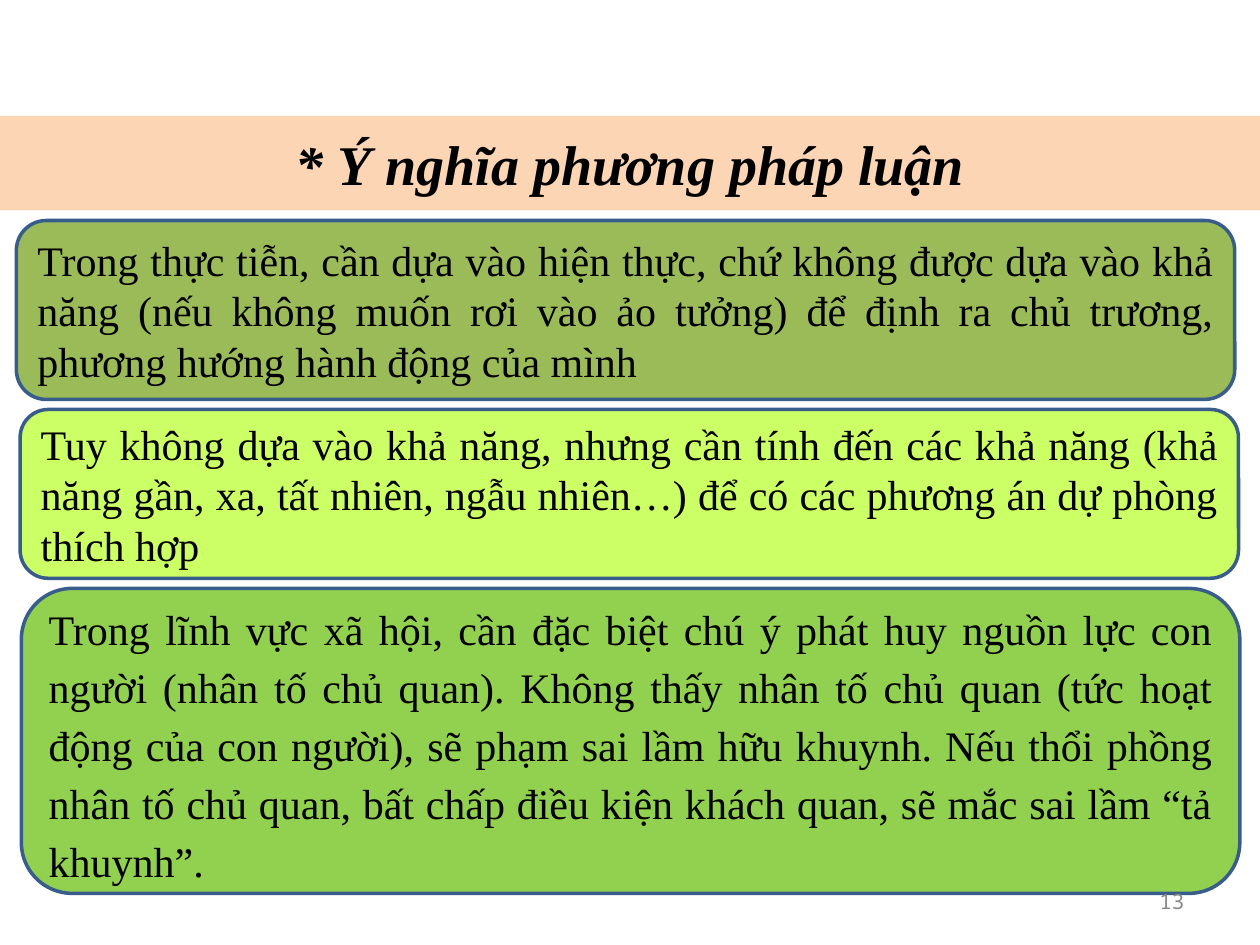
from pptx import Presentation
from pptx.dml.color import RGBColor
from pptx.enum.shapes import MSO_SHAPE
from pptx.enum.text import MSO_ANCHOR, MSO_AUTO_SIZE, PP_ALIGN
from pptx.util import Inches, Pt

ROUNDED = MSO_SHAPE.ROUNDED_RECTANGLE
MIDDLE = MSO_ANCHOR.MIDDLE
NO_AUTOFIT = MSO_AUTO_SIZE.NONE
CENTER, JUSTIFY, RIGHT = PP_ALIGN.CENTER, PP_ALIGN.JUSTIFY, PP_ALIGN.RIGHT

TITLE_ONLY = 5
WIDTH, HEIGHT = 10, 7.5
CARD_WIDTH = 9.67
SERIF = "Times New Roman"

CARDS = [
    (0.13, 1.75, 1.42, "9BBB59", 1.0,
     "Trong thực tiễn, cần dựa vào hiện thực, chứ không được dựa vào khả năng "
     "(nếu không muốn rơi vào ảo tưởng) để định ra chủ trương, phương hướng "
     "hành động của mình"),
    (0.16, 3.25, 1.34, "CCFF66", 1.0,
     "Tuy không dựa vào khả năng, nhưng cần tính đến các khả năng (khả năng "
     "gần, xa, tất nhiên, ngẫu nhiên…) để có các phương án dự phòng thích hợp"),
    (0.17, 4.67, 2.42, "92D050", 1.15,
     "Trong lĩnh vực xã hội, cần đặc biệt chú ý phát huy nguồn lực con người "
     "(nhân tố chủ quan). Không thấy nhân tố chủ quan (tức hoạt động của con "
     "người), sẽ phạm sai lầm hữu khuynh. Nếu thổi phồng nhân tố chủ quan, "
     "bất chấp điều kiện khách quan, sẽ mắc sai lầm “tả khuynh”."),
]


def paint(fill, color):
    fill.solid()
    fill.fore_color.rgb = RGBColor.from_string(color)


def write(shape, text, size, align, font=SERIF, color="000000",
          emphasis=False, spacing=1.0):
    frame = shape.text_frame
    frame.text = text
    frame.word_wrap = True
    frame.auto_size = NO_AUTOFIT
    frame.vertical_anchor = MIDDLE
    paragraph = frame.paragraphs[0]
    paragraph.alignment = align
    paragraph.line_spacing = spacing
    for run in paragraph.runs:
        run.font.name = font
        run.font.size = Pt(size)
        run.font.bold = run.font.italic = emphasis
        run.font.color.rgb = RGBColor.from_string(color)


def add_heading(slide, text):
    heading = slide.shapes.title
    heading.left, heading.top = Inches(0), Inches(0.92)
    heading.width, heading.height = Inches(WIDTH), Inches(0.75)
    paint(heading.fill, "FCD5B5")
    write(heading, text, 32, CENTER, emphasis=True)


def add_card(slide, left, top, height, color, spacing, text):
    card = slide.shapes.add_shape(ROUNDED, Inches(left), Inches(top),
                                  Inches(CARD_WIDTH), Inches(height))
    card.shadow.inherit = False
    paint(card.fill, color)
    paint(card.line.fill, "385D8A")
    card.line.width = Pt(2)
    write(card, text, 24, JUSTIFY, spacing=spacing)


def add_page_number(slide, number):
    page = slide.shapes.add_textbox(Inches(7.17), Inches(6.95),
                                    Inches(2.33), Inches(0.4))
    write(page, number, 12, RIGHT, font="Noto Sans Mono", color="898989")


def main():
    deck = Presentation()
    deck.slide_width, deck.slide_height = Inches(WIDTH), Inches(HEIGHT)
    slide = deck.slides.add_slide(deck.slide_layouts[TITLE_ONLY])
    add_heading(slide, "* Ý nghĩa phương pháp luận")
    for card in CARDS:
        add_card(slide, *card)
    add_page_number(slide, "13")
    deck.save("out.pptx")


if __name__ == "__main__":
    main()
